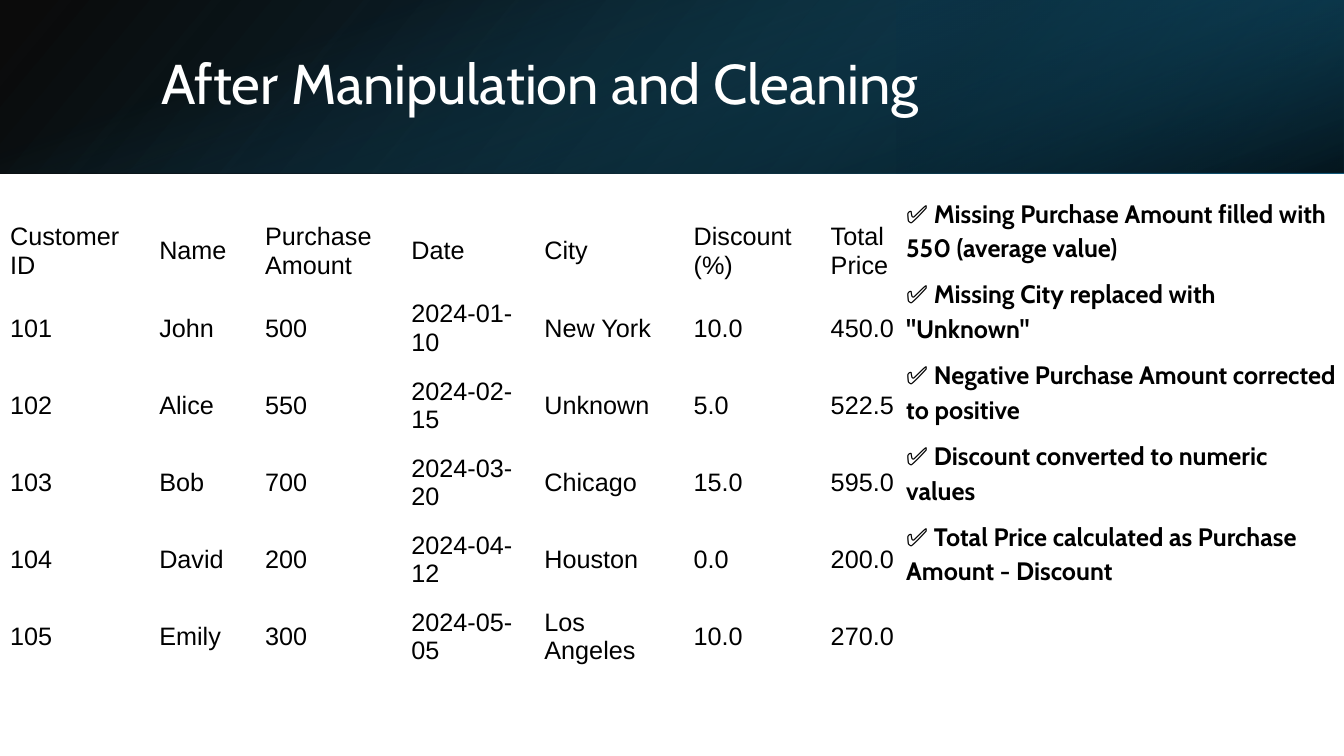
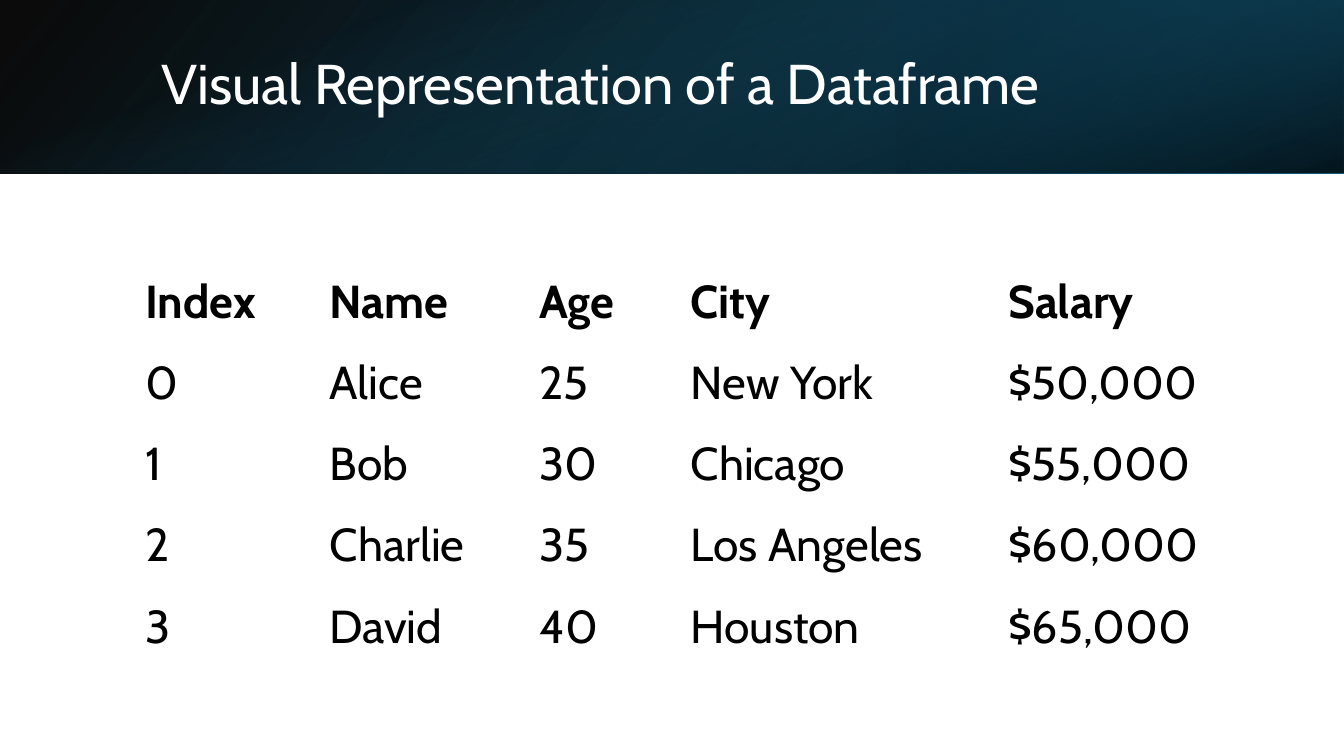
from dataclasses import dataclass

from pptx import Presentation
from pptx import util as u
from pptx.dml.color import RGBColor
from pptx.enum import shapes, text
from pptx.oxml.ns import qn
from lxml import etree

SCALE = 9144
WIDTH, HEIGHT = 1333, 750
BAND = 172
SIDE = 444


@dataclass(frozen=True)
class Theme:
    ink: str = "000000"
    paper: str = "FFFFFF"
    teal: str = "156082"
    deep_teal: str = "104862"
    dark_teal: str = "0B3041"
    font: str = "Cabin"
    table_font: str = "Arial"
    mark_font: str = "Roboto"
    title_size: int = 40
    body_size: int = 18
    large_size: int = 33


THEME = Theme()

BAND_LAYERS = [
    dict(at=(0, 0, WIDTH, BAND), flip=True, angle=140,
         stops=[(0, THEME.ink, 96), (100, THEME.deep_teal, 100)]),
    dict(at=(WIDTH - SIDE, 0, SIDE, BAND), flip=True, turn=180, angle=320,
         stops=[(19, THEME.dark_teal, 68), (100, THEME.teal, 79)]),
    dict(at=((WIDTH - BAND) // 2, (BAND - WIDTH) // 2, BAND, WIDTH), turn=90, angle=340,
         stops=[(23, THEME.teal, 0), (99, THEME.ink, 74)]),
]

PURCHASES = [
    ("Customer ID", "Name", "Purchase Amount", "Date", "City", "Discount (%)", "Total Price"),
    ("101", "John", "500", "2024-01-10", "New York", "10.0", "450.0"),
    ("102", "Alice", "550", "2024-02-15", "Unknown", "5.0", "522.5"),
    ("103", "Bob", "700", "2024-03-20", "Chicago", "15.0", "595.0"),
    ("104", "David", "200", "2024-04-12", "Houston", "0.0", "200.0"),
    ("105", "Emily", "300", "2024-05-05", "Los Angeles", "10.0", "270.0"),
]

CLEANING_MARK = "✅"
CLEANING_STEPS = [
    "Missing Purchase Amount filled with 550 (average value)",
    'Missing City replaced with "Unknown"',
    "Negative Purchase Amount corrected to positive",
    "Discount converted to numeric values",
    "Total Price calculated as Purchase Amount - Discount",
]

EMPLOYEES = [
    ("Index", "Name", "Age", "City", "Salary"),
    ("0", "Alice", "25", "New York", "$50,000"),
    ("1", "Bob", "30", "Chicago", "$55,000"),
    ("2", "Charlie", "35", "Los Angeles", "$60,000"),
    ("3", "David", "40", "Houston", "$65,000"),
]


def px(value):
    return u.Emu(value * SCALE)


def place(at):
    return [px(value) for value in at]


def write(para, words, *, size, font=THEME.font, color=THEME.ink, bold=False,
          line=None, after=None):
    span = para.add_run()
    span.text = words
    span.font.name = font
    span.font.size = u.Pt(size)
    span.font.bold = bold
    span.font.color.rgb = RGBColor.from_string(color)
    if line is not None:
        para.line_spacing = line
    if after is not None:
        para.space_after = u.Pt(after)


def add_band_layer(page, at, angle, stops, flip=False, turn=0):
    box = page.shapes.add_shape(shapes.MSO_SHAPE.RECTANGLE, *place(at))
    box.shadow.inherit = False
    box.line.fill.background()
    box.rotation = turn
    if flip:
        box.element.spPr.find(qn("a:xfrm")).set("flipH", "1")
    box.fill.gradient()
    box.fill.gradient_angle = 360 - angle
    for stop, (position, color, _) in zip(box.fill.gradient_stops, stops):
        stop.position = position / 100
        stop.color.rgb = RGBColor.from_string(color)
    colors = box.element.spPr.iter(qn("a:srgbClr"))
    for node, (_, _, opacity) in zip(list(colors), stops):
        etree.SubElement(node, qn("a:alpha")).set("val", str(opacity * 1000))


def add_text_box(page, at):
    frame = page.shapes.add_textbox(*place(at)).text_frame
    frame.word_wrap = True
    return frame


def add_page(deck, title):
    page = deck.slides.add_slide(deck.slide_layouts[6])
    for layer in BAND_LAYERS:
        add_band_layer(page, **layer)
    frame = add_text_box(page, (150, 38, 1098, 96))
    frame.vertical_anchor = text.MSO_ANCHOR.MIDDLE
    write(frame.paragraphs[0], title, size=THEME.title_size, color=THEME.paper, line=0.9)
    return page


def add_grid(page, rows, *, left, top, height, widths, inset, bold_header=False, **style):
    at = place((left, top, sum(widths), height))
    table = page.shapes.add_table(len(rows), len(widths), *at).table
    table.first_row = False
    table.horz_banding = False
    for column, width in zip(table.columns, widths):
        column.width = px(width)
    for index, values in enumerate(rows):
        table.rows[index].height = px(height) // len(rows)
        for cell, value in zip(table.rows[index].cells, values):
            cell.fill.background()
            cell.vertical_anchor = text.MSO_ANCHOR.MIDDLE
            cell.margin_left = cell.margin_right = px(inset)
            cell.margin_top = cell.margin_bottom = px(inset // 2)
            write(cell.text_frame.paragraphs[0], value,
                  bold=bold_header and index == 0, **style)


def add_steps(page, steps, at):
    frame = add_text_box(page, at)
    for index, step in enumerate(steps):
        para = frame.add_paragraph() if index else frame.paragraphs[0]
        write(para, CLEANING_MARK, size=THEME.body_size, font=THEME.mark_font, bold=True)
        write(para, f" {step}", size=THEME.body_size, bold=True, line=1.15, after=8)


def main():
    deck = Presentation()
    deck.slide_width, deck.slide_height = px(WIDTH), px(HEIGHT)

    page = add_page(deck, "After Manipulation and Cleaning")
    add_grid(page, PURCHASES, left=0, top=211, height=459,
             widths=(148, 105, 145, 132, 148, 136, 101), inset=10,
             size=THEME.body_size, font=THEME.table_font)
    add_steps(page, CLEANING_STEPS, (889, 187, 447, 445))

    page = add_page(deck, "Visual Representation of a Dataframe")
    add_grid(page, EMPLOYEES, left=126, top=259, height=403,
             widths=(183, 208, 150, 315, 229), inset=18,
             bold_header=True, size=THEME.large_size)

    deck.save("out.pptx")


if __name__ == "__main__":
    main()
